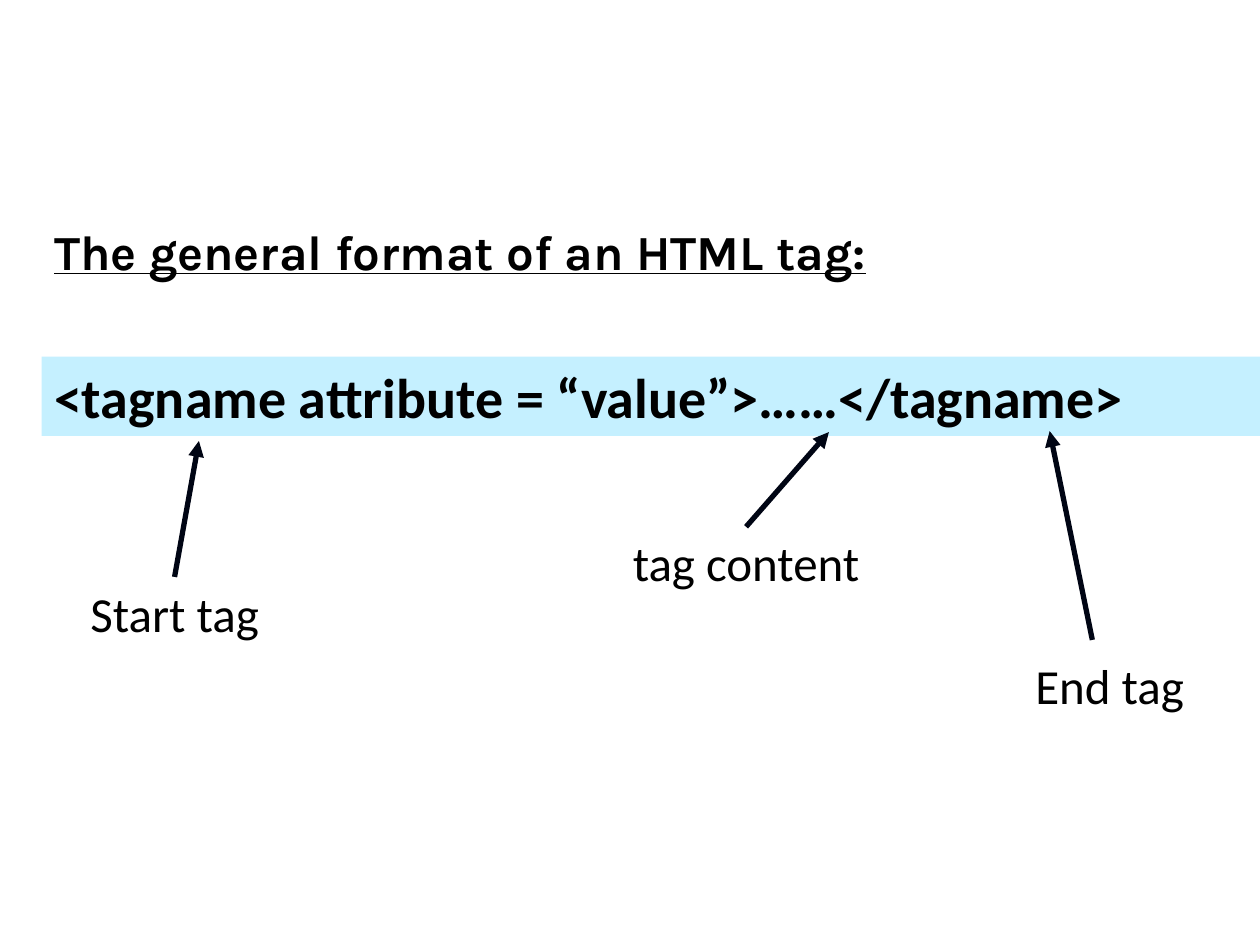
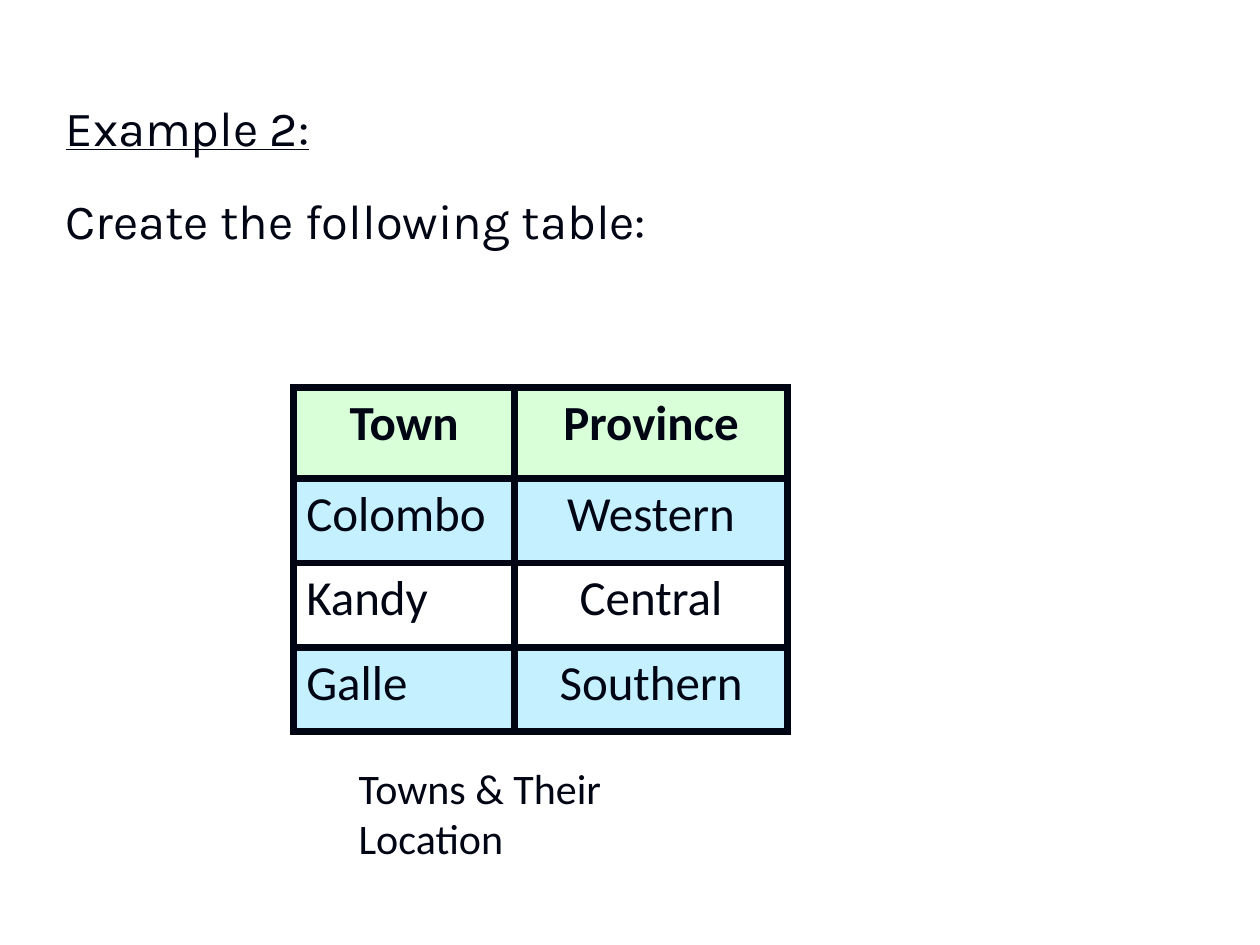
from lxml import etree
from pptx import Presentation
from pptx import util as u
from pptx.dml.color import RGBColor
from pptx.enum import shapes, text
from pptx.oxml import parse_xml
from pptx.oxml.ns import nsdecls, qn

# Shared look
BLACK, INK, WHITE = "000000", "000514", "FFFFFF"
SKY, MINT = "C5F0FF", "D9FFD9"
BODY_FONT, HEADING_FONT = "Calibri", "Karla"
LEFT, CENTER = text.PP_ALIGN.LEFT, text.PP_ALIGN.CENTER


def rgb(hex_code):
    return RGBColor.from_string(hex_code)


def cm_box(*lengths):
    return [u.Cm(length) for length in lengths]


def write(frame, words, size=28, font=BODY_FONT, color=INK, bold=False,
          underline=False, align=LEFT, spacing=1.0, wrap=True):
    """Put one formatted paragraph into a text frame."""
    frame.word_wrap = wrap
    paragraph = frame.paragraphs[0]
    paragraph.alignment = align
    paragraph.line_spacing = spacing
    run = paragraph.add_run()
    run.text = words
    run.font.size = u.Pt(size)
    run.font.name = font
    run.font.color.rgb = rgb(color)
    run.font.bold = bold
    run.font.underline = underline


def fill_placeholder(holder, words, box, **style):
    """Move a title or body placeholder and write a heading line in it."""
    holder.left, holder.top, holder.width, holder.height = cm_box(*box)
    frame = holder.text_frame
    frame.auto_size = text.MSO_AUTO_SIZE.NONE
    frame.vertical_anchor = text.MSO_ANCHOR.TOP
    write(frame, words, font=HEADING_FONT, **style)
    return frame.paragraphs[0]


def add_label(slide, words, box, **style):
    label = slide.shapes.add_textbox(*cm_box(*box))
    write(label.text_frame, words, **style)
    return label


def add_band(slide, words, box, fill, **style):
    band = slide.shapes.add_shape(shapes.MSO_SHAPE.RECTANGLE, *cm_box(*box))
    band.shadow.inherit = False
    band.fill.solid()
    band.fill.fore_color.rgb = rgb(fill)
    band.line.fill.background()
    write(band.text_frame, words, **style)


def add_arrow(slide, start, tip, label=None):
    """Draw an arrow to tip, joined to the top of label if one is given."""
    arrow = slide.shapes.add_connector(
        shapes.MSO_CONNECTOR.STRAIGHT, *cm_box(*start, *tip))
    if label is not None:
        arrow.begin_connect(label, 0)
    arrow.line.color.rgb = rgb(INK)
    arrow.line.width = u.Pt(3)
    etree.SubElement(arrow.line._get_or_add_ln(), qn("a:tailEnd"), type="triangle")
    etree.SubElement(arrow._element.spPr, qn("a:effectLst"))


def border_cell(cell, color, points):
    for side in "LRTB":
        cell._tc.get_or_add_tcPr().append(parse_xml(
            f'<a:ln{side} {nsdecls("a")} w="{u.Pt(points)}"><a:solidFill>'
            f'<a:srgbClr val="{color}"/></a:solidFill></a:ln{side}>'))


def add_grid(slide, rows, row_fills, corner, col_widths, row_heights):
    grid = slide.shapes.add_table(
        len(rows), len(col_widths),
        *cm_box(*corner, sum(col_widths), sum(row_heights))).table
    for column, width in zip(grid.columns, col_widths):
        column.width = u.Cm(width)
    for r, (entries, fill, height) in enumerate(zip(rows, row_fills, row_heights)):
        grid.rows[r].height = u.Cm(height)
        for c, entry in enumerate(entries):
            cell = grid.cell(r, c)
            border_cell(cell, INK, 4.5)
            cell.fill.solid()
            cell.fill.fore_color.rgb = rgb(fill)
            is_header = r == 0
            write(cell.text_frame, entry, bold=is_header,
                  align=CENTER if is_header or c else LEFT)


def build_tag_format(slide):
    fill_placeholder(slide.shapes.title, "The general format of an HTML tag:",
                     (0.84, 3.38, 18.2, 2.39), color=BLACK, bold=True,
                     underline=True, spacing=1.8, wrap=False)
    add_band(slide, "<tagname attribute = “value”>……</tagname>",
             (0.84, 7.19, 24.56, 1.6), SKY, size=32, color=BLACK, bold=True)

    # Parts of the tag: label, its box, arrow tip, free arrow start if any
    tag_parts = [
        ("tag content", (12.45, 10.62, 5.18, 1.45), (16.71, 8.71), None),
        ("Start tag", (1.47, 11.63, 4.1, 1.45), (4.01, 8.89), None),
        ("End tag", (20.52, 13.08, 3.7, 1.45), (21.16, 8.69), (22.02, 12.9)),
    ]
    for words, box, tip, free_start in tag_parts:
        label = add_label(slide, words, box, color=BLACK, align=CENTER, wrap=False)
        if free_start:
            add_arrow(slide, free_start, tip)
        else:
            add_arrow(slide, (box[0] + box[2] / 2, box[1]), tip, label)


def build_table_example(slide):
    fill_placeholder(slide.shapes.title, "Example 2:", (1.07, 1.12, 18, 1.9),
                     underline=True, spacing=1.6)
    task = fill_placeholder(slide.placeholders[1], "Create the following table:",
                            (1.07, 3.01, 18, 2.15), spacing=1.6)
    task.space_before = u.Pt(0)
    bullet_props = task._p.get_or_add_pPr()
    bullet_props.set("marL", "0")
    bullet_props.set("indent", "0")
    etree.SubElement(bullet_props, qn("a:buNone"))

    # Towns table and its caption
    towns = [("Town", "Province"), ("Colombo", "Western"),
             ("Kandy", "Central"), ("Galle", "Southern")]
    add_grid(slide, towns, (MINT, SKY, WHITE, SKY), corner=(5.92, 7.82),
             col_widths=(4.45, 5.51), row_heights=(1.83, 1.7, 1.7, 1.7))
    add_label(slide, "Towns & Their Location", (6.98, 15.24, 6.6, 2.3), size=24)


def main():
    deck = Presentation()
    deck.slide_width, deck.slide_height = cm_box(25.4, 19.05)
    title_only, title_and_body = deck.slide_layouts[5], deck.slide_layouts[1]
    build_tag_format(deck.slides.add_slide(title_only))
    build_table_example(deck.slides.add_slide(title_and_body))
    deck.save("out.pptx")


if __name__ == "__main__":
    main()
